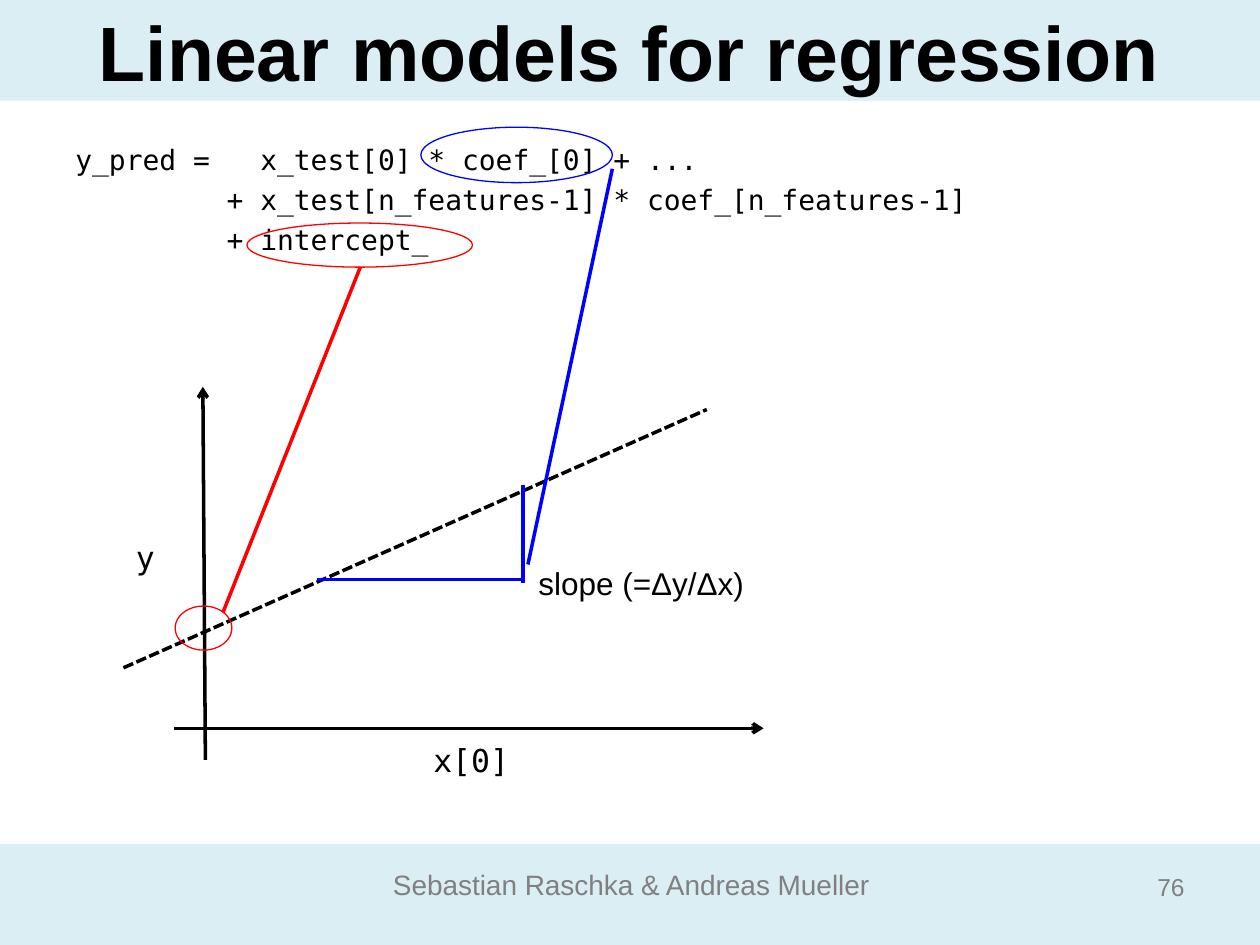
from pptx import Presentation, util as u
from pptx.dml.color import RGBColor
from pptx.enum import dml, shapes, text
from pptx.oxml.ns import qn
from lxml import etree

BLACK = RGBColor(0, 0, 0)
BLUE = RGBColor(0, 0, 255)
RED = RGBColor(255, 0, 0)
GRAY = RGBColor(128, 128, 128)
PALE_BLUE = RGBColor(0xDB, 0xEE, 0xF4)
SANS, MONO = "Arial", "DejaVu Sans Mono"

deck = Presentation()
deck.slide_width, deck.slide_height = u.Inches(10), u.Inches(7.5)
page = deck.slides.add_slide(deck.slide_layouts[5])
CELL = deck.slide_width // 100  # the page is a grid of 100 columns by 75 rows


def grid(*cells):
    return [round(cell * CELL) for cell in cells]


def write(box, content, font, size, color, align=text.PP_ALIGN.LEFT, wrap=True):
    frame = box.text_frame
    frame.word_wrap = wrap
    frame.auto_size = text.MSO_AUTO_SIZE.NONE
    frame.text = content
    for para in frame.paragraphs:
        para.alignment = align
        for span in para.runs:
            span.font.name, span.font.size = font, u.Pt(size)
            span.font.color.rgb = color
    return frame


# Header and footer bands
for top in (0, 67):
    band = page.shapes.add_shape(shapes.MSO_SHAPE.RECTANGLE, *grid(0, top, 100, 8))
    band.shadow.inherit = False
    band.fill.solid()
    band.fill.fore_color.rgb = PALE_BLUE
    band.line.fill.background()

# Title, raised above the header band
title = page.shapes.title
page.shapes.element.append(title.element)
title.left, title.top, title.width, title.height = grid(5, -2.2, 90, 12.5)
frame = write(title, "Linear models for regression", SANS, 44, BLACK, text.PP_ALIGN.CENTER)
frame.vertical_anchor = text.MSO_ANCHOR.MIDDLE
frame.paragraphs[0].runs[0].font.bold = True

# Prediction formula
FORMULA = """y_pred =   x_test[0] * coef_[0] + ...
         + x_test[n_features-1] * coef_[n_features-1]
         + intercept_"""
formula = page.shapes.add_textbox(*grid(5, 10.8, 92.2, 49.5))
frame = write(formula, FORMULA, MONO, 16, BLACK)
for para in frame.paragraphs[1:]:
    para.space_before = u.Pt(3.7)

# Footer, page number, axis names and slope label
LEFT, CENTER, RIGHT = text.PP_ALIGN.LEFT, text.PP_ALIGN.CENTER, text.PP_ALIGN.RIGHT
labels = [
    ("Sebastian Raschka & Andreas Mueller", (30.2, 68.4, 43.9, 3.7), SANS, 16, GRAY, LEFT, True),
    ("76", (90.2, 68.4, 4.8, 4), SANS, 14, GRAY, RIGHT, True),
    ("x[0]", (33.4, 58.3, 8.1, 4), MONO, 18, BLACK, LEFT, False),
    ("y", (9.8, 42.2, 3.5, 4), MONO, 18, BLACK, LEFT, False),
    ("slope (=Δy/Δx)", (30.6, 44.3, 40.6, 4), SANS, 18, BLACK, CENTER, True),
]
for content, cells, font, size, color, align, wrap in labels:
    box = page.shapes.add_textbox(*grid(*cells))
    frame = write(box, content, font, size, color, align, wrap)
    if content == "76":
        frame.vertical_anchor = text.MSO_ANCHOR.MIDDLE

# Axes, fitted line, slope triangle and pointers
lines = [
    ((16.3, 60.3, 16.1, 30.7), BLACK, "arrow"),
    ((13.8, 57.8, 60.6, 57.8), BLACK, "arrow"),
    ((9.8, 53, 56.1, 32.5), BLACK, "dash"),
    ((28.6, 21.2, 17.7, 48.6), RED, "plain"),
    ((25.2, 46, 41.5, 46), BLUE, "plain"),
    ((41.5, 46.3, 41.5, 38.5), BLUE, "plain"),
    ((48.6, 13.4, 41.9, 44.8), BLUE, "plain"),
]
for ends, color, style in lines:
    line = page.shapes.add_connector(shapes.MSO_CONNECTOR.STRAIGHT, *grid(*ends))
    line.line.color.rgb = color
    line.line.width = u.Pt(2)
    if style == "dash":
        line.line.dash_style = dml.MSO_LINE.SQUARE_DOT
    if style == "arrow":
        outline = line.line.fill.fore_color and line.element.spPr.find(qn("a:ln"))
        etree.SubElement(outline, qn("a:tailEnd"), type="arrow")
    etree.SubElement(line.element.spPr, qn("a:effectLst"))

# Rings around the coefficient, the intercept and the crossing point
rings = [
    ((33.4, 10.1, 15.2, 4.4), BLUE),
    ((19.6, 17.7, 17.9, 3.5), RED),
    ((13.9, 48.1, 4.5, 3.5), RED),
]
for cells, color in rings:
    ring = page.shapes.add_shape(shapes.MSO_SHAPE.OVAL, *grid(*cells))
    ring.shadow.inherit = False
    ring.fill.background()
    ring.line.color.rgb = color
    ring.line.width = u.Pt(0.75)

deck.save("out.pptx")
